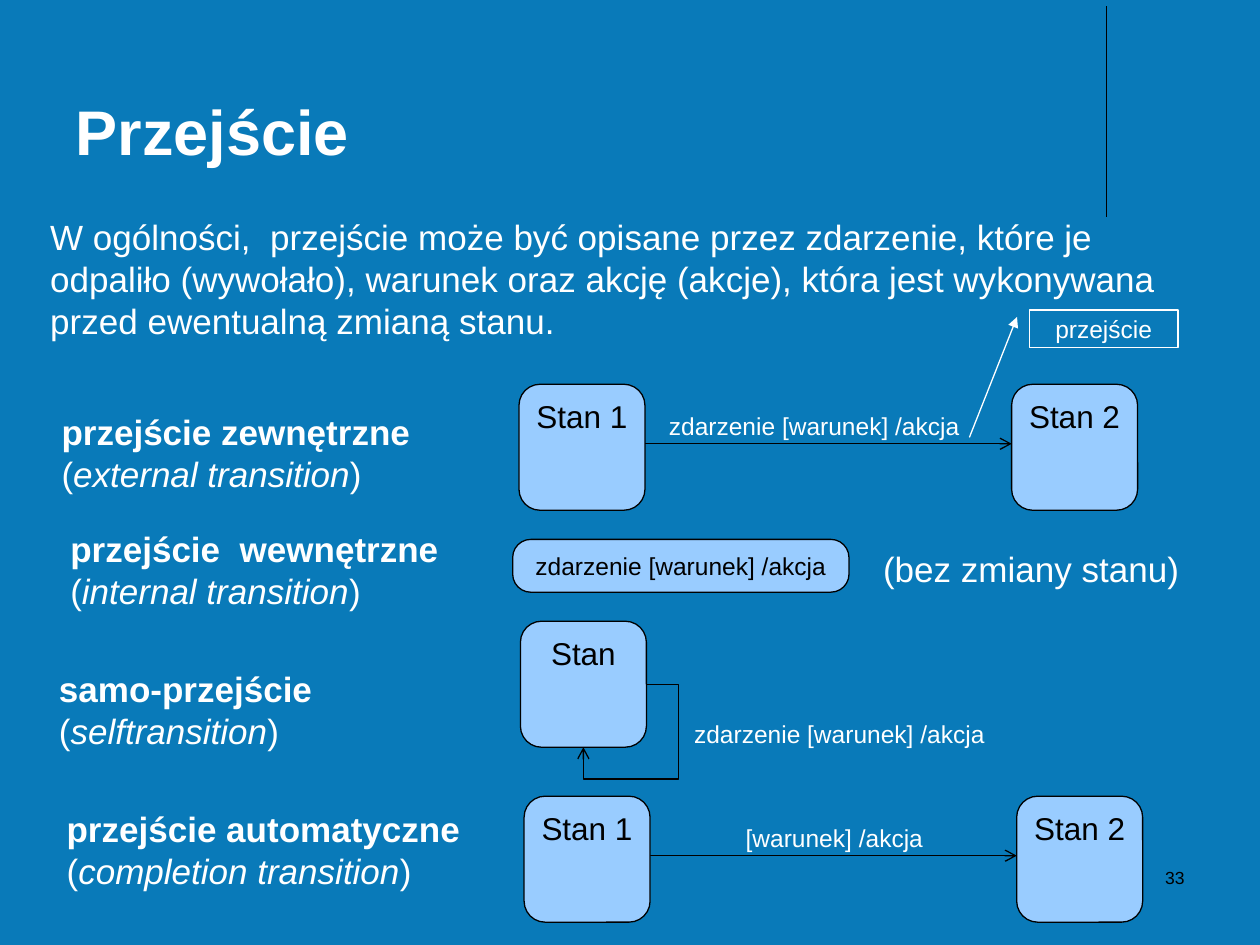
from lxml import etree
from pptx import Presentation
from pptx.dml.color import RGBColor
from pptx.enum.shapes import MSO_CONNECTOR as LINK, MSO_SHAPE as SHAPE
from pptx.enum.text import MSO_ANCHOR as ANCHOR, PP_ALIGN as ALIGN
from pptx.oxml.ns import qn
from pptx.util import Pt

BLUE = RGBColor(0x09, 0x7A, 0xB9)
LIGHT = RGBColor(0x99, 0xCC, 0xFF)
WHITE = RGBColor(0xFF, 0xFF, 0xFF)
BLACK = RGBColor(0, 0, 0)
STATE = 72  # side of a state box
STATE_STEP = 281.5  # from Stan 1 to Stan 2
EVENT = "zdarzenie [warunek] /akcja"

prs = Presentation()
prs.slide_width, prs.slide_height = Pt(720), Pt(540)
slide = prs.slides.add_slide(prs.slide_layouts[5])
slide.background.fill.solid()
slide.background.fill.fore_color.rgb = BLUE
shapes = slide.shapes


def write(shape, text, size, color=WHITE, align=ALIGN.LEFT, wrap=False, anchor=ANCHOR.TOP):
    frame = shape.text_frame
    frame.text = text
    frame.word_wrap = wrap
    frame.vertical_anchor = anchor
    for paragraph in frame.paragraphs:
        paragraph.alignment = align
        for run in paragraph.runs:
            run.font.name, run.font.size = "Arial", Pt(size)
            run.font.color.rgb = color
    return shape


def link(kind, x1, y1, x2, y2, arrow=True):
    line = shapes.add_connector(kind, Pt(x1), Pt(y1), Pt(x2), Pt(y2))
    line.line.color.rgb, line.line.width = BLACK, Pt(0.75)
    if arrow:
        etree.SubElement(line.line._get_or_add_ln(), qn("a:tailEnd"), type="arrow")
    etree.SubElement(line._element.spPr, qn("a:effectLst"))
    return line


# Decorative line and title
link(LINK.STRAIGHT, 632.2, 3.6, 632.2, 123.8, arrow=False)
title = shapes.title
title.left, title.top, title.width, title.height = Pt(36), Pt(9.4), Pt(594), Pt(90)
write(title, "Przejście", 36, wrap=True, anchor=ANCHOR.BOTTOM)
title.text_frame.paragraphs[0].runs[0].font.bold = True

# Kinds of transition: Polish name over the English term
for x, y, width, name, term in [
    (28.1, 231.1, 218.9, "przejście zewnętrzne", "external transition"),
    (33.1, 298.1, 230.4, "przejście  wewnętrzne", "internal transition"),
    (26.6, 378, 164.9, "samo-przejście", "selftransition"),
    (31, 457.9, 244.8, "przejście automatyczne", "completion transition"),
]:
    kind = shapes.add_textbox(Pt(x), Pt(y), Pt(width), Pt(55.4))
    write(kind, f"{name}\n(", 20)
    name_line, term_line = kind.text_frame.paragraphs
    name_line.runs[0].font.bold = True
    for part in (term, ")"):
        run = term_line.add_run()
        run.text = part
        run.font.name, run.font.size, run.font.italic = "Arial", Pt(20), part == term
        run.font.color.rgb = WHITE

# States: x, y, width, height, corner, name, text size
states = [
    (297.4, 355, STATE, STATE, 0.167, "Stan", 18),
    (293, 308.2, 192.2, 30.2, 0.342, EVENT, 14),
]
for x, y in [(296.6, 219.6), (299.5, 455)]:
    states.append((x, y, STATE, STATE, 0.167, "Stan 1", 18))
    states.append((x + STATE_STEP, y, STATE, STATE, 0.167, "Stan 2", 18))
    link(LINK.STRAIGHT, x + STATE, y + 34, x + STATE_STEP, y + 34)

for x, y, width, height, corner, name, size in states:
    state = shapes.add_shape(SHAPE.ROUNDED_RECTANGLE, Pt(x), Pt(y), Pt(width), Pt(height))
    state.adjustments[0] = corner
    state.shadow.inherit = False
    state.fill.solid()
    state.fill.fore_color.rgb = LIGHT
    state.line.color.rgb, state.line.width = BLACK, Pt(0.75)
    write(state, name, size, BLACK, ALIGN.CENTER,
          anchor=ANCHOR.MIDDLE if name == EVENT else ANCHOR.TOP)

# Self transition loops from the right side to the bottom of Stan
loop = link(LINK.ELBOW, 369.4, 391, 333.4, 427)
geometry = loop._element.spPr.find(qn("a:prstGeom"))
geometry.set("prst", "bentConnector4")
guides = geometry.find(qn("a:avLst"))
if guides is None:
    guides = etree.SubElement(geometry, qn("a:avLst"))
for guide, value in [("adj1", -50700), ("adj2", 150700)]:
    etree.SubElement(guides, qn("a:gd"), name=guide, fmla=f"val {value}")

# Transition labels and remark
for x, y, width, height, text, size in [
    (375.1, 231.1, 180.7, 24.5, EVENT, 14),
    (389.5, 407.5, 180.7, 24.5, EVENT, 14),
    (419, 466.6, 115.9, 24.5, "[warunek] /akcja", 14),
    (497.5, 309.6, 183.6, 31.7, "(bez zmiany stanu)", 20),
]:
    write(shapes.add_textbox(Pt(x), Pt(y), Pt(width), Pt(height)), text, size)

# Introduction
intro = shapes.add_textbox(Pt(21.6), Pt(119.5), Pt(683.3), Pt(79.2))
write(intro, "W ogólności,  przejście może być opisane przez zdarzenie, które je "
      "odpaliło (wywołało), warunek oraz akcję (akcje), która jest wykonywana "
      "przed ewentualną zmianą stanu.", 20, wrap=True)

# Callout naming the transition
callout = shapes.add_shape(SHAPE.LINE_CALLOUT_1, Pt(588.2), Pt(177.1), Pt(85), Pt(21.6))
for index, value in enumerate([0.188, -0.083, 3.373, -0.403]):
    callout.adjustments[index] = value
callout.shadow.inherit = False
callout.fill.background()
callout.line.color.rgb, callout.line.width = WHITE, Pt(0)
etree.SubElement(callout.line._get_or_add_ln(), qn("a:headEnd"), type="triangle")
write(callout, "przejście", 14, align=ALIGN.CENTER, anchor=ANCHOR.MIDDLE)

# Slide number
number = shapes.add_textbox(Pt(516.2), Pt(491.8), Pt(167.8), Pt(36))
write(number, "33", 10, BLACK, ALIGN.RIGHT, wrap=True)

prs.save("out.pptx")
